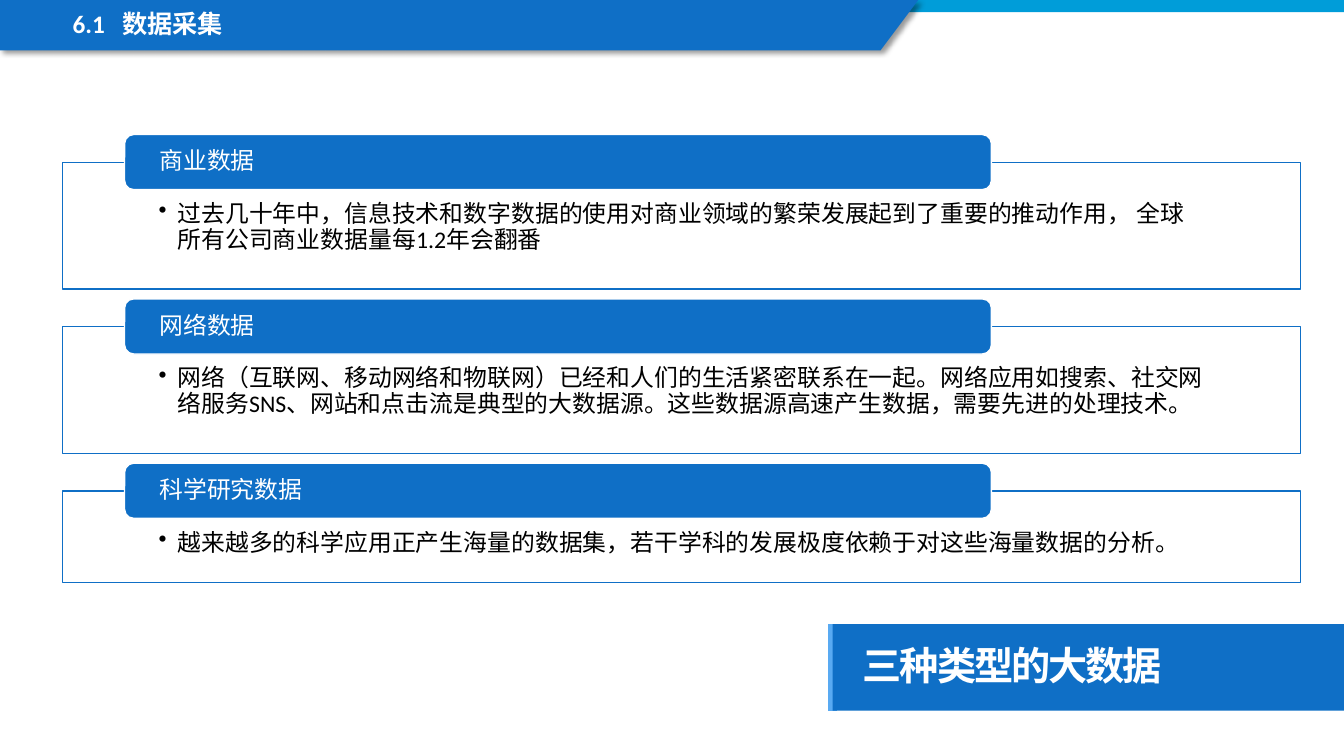
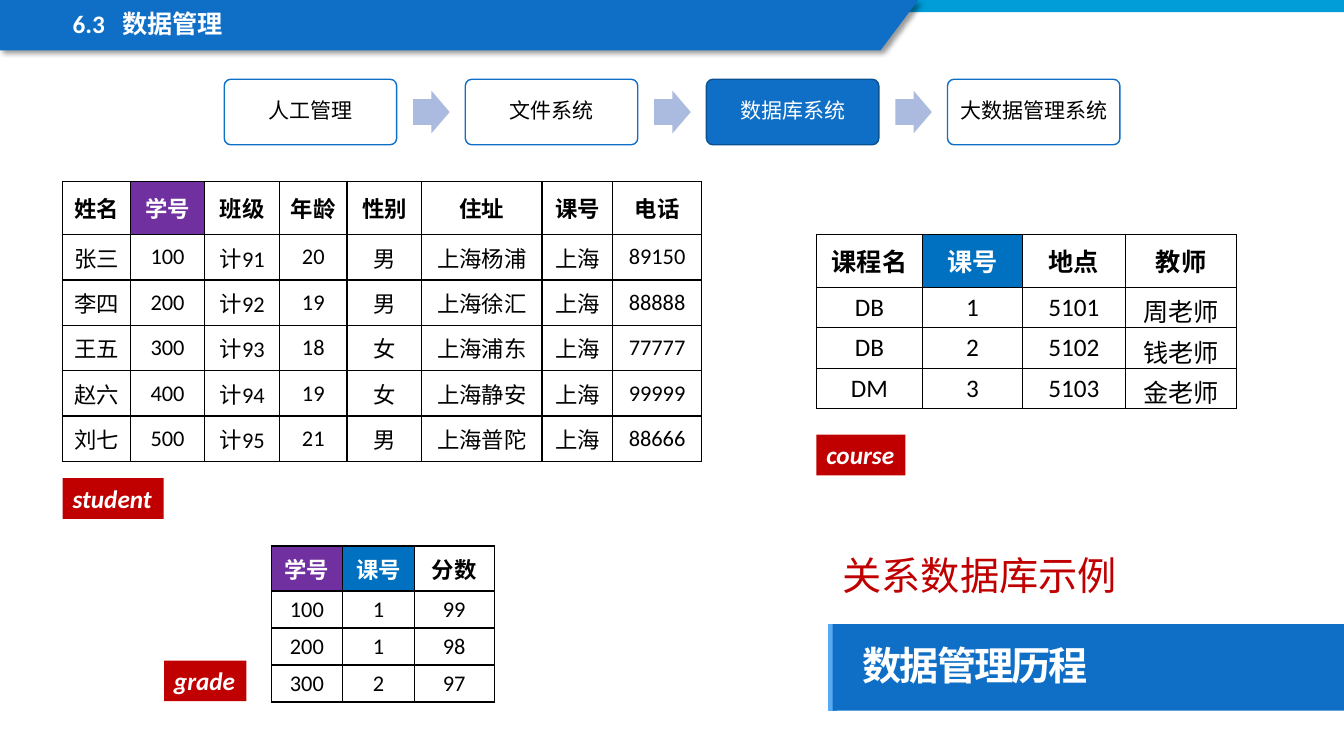
from itertools import accumulate

from lxml import etree
from pptx import Presentation
from pptx import util as u
from pptx.dml.color import RGBColor
from pptx.enum import shapes, text
from pptx.oxml import ns

Pt = u.Pt
KIND = shapes.MSO_SHAPE
ALIGN = text.PP_ALIGN
ANCHOR = text.MSO_ANCHOR

COLORS = {
    "blue": "0F6FC6", "dark_blue": "0B5292", "light_blue": "59AAF2",
    "cyan": "009DD9", "arrow": "ABBBDF", "student_key": "7030A0",
    "course_key": "0070C0", "red": "C00000", "white": "FFFFFF", "black": "000000",
}
LATIN, CHINESE = "Calibri", "Noto Sans CJK SC"
WIDTH, HEIGHT = 960, 540
LEFT = 44.8
MARGINS = (7.2, 3.6, 7.2, 3.6)

DATA_KINDS = [
    ("商业数据", 90.7,
     "过去几十年中，信息技术和数字数据的使用对商业领域的繁荣发展起到了重要的推动作用， "
     "全球所有公司商业数据量每1.2年会翻番"),
    ("网络数据", 90.7,
     "网络（互联网、移动网络和物联网）已经和人们的生活紧密联系在一起。网络应用如搜索、社交网络服务SNS、"
     "网站和点击流是典型的大数据源。这些数据源高速产生数据，需要先进的处理技术。"),
    ("科学研究数据", 65.5,
     "越来越多的科学应用正产生海量的数据集，若干学科的发展极度依赖于对这些海量数据的分析。"),
]

STAGES = ["人工管理", "文件系统", "数据库系统", "大数据管理系统"]
CURRENT_STAGE = "数据库系统"

TABLES = [
    {"name": "student", "tag": (LEFT, 341.5, 72.2), "at": (LEFT, 129.6), "size": 16,
     "columns": [48.3, 53.3, 53.3, 48.3, 53.3, 86, 50.5, 63.4],
     "header_height": 38, "row_height": 32.4, "keys": {1: "student_key"},
     "rows": [
         ("姓名", "学号", "班级", "年龄", "性别", "住址", "课号", "电话"),
         ("张三", "100", "计91", "20", "男", "上海杨浦", "上海", "89150"),
         ("李四", "200", "计92", "19", "男", "上海徐汇", "上海", "88888"),
         ("王五", "300", "计93", "18", "女", "上海浦东", "上海", "77777"),
         ("赵六", "400", "计94", "19", "女", "上海静安", "上海", "99999"),
         ("刘七", "500", "计95", "21", "男", "上海普陀", "上海", "88666")]},
    {"name": "course", "tag": (583.2, 310.5, 63.5), "at": (583.2, 167.5), "size": 18,
     "columns": [75.7, 71.4, 73.7, 79.4],
     "header_height": 37.8, "row_height": 28.8, "keys": {1: "course_key"},
     "rows": [
         ("课程名", "课号", "地点", "教师"),
         ("DB", "1", "5101", "周老师"),
         ("DB", "2", "5102", "钱老师"),
         ("DM", "3", "5103", "金老师")]},
    {"name": "grade", "tag": (117.2, 471.8, 58.8), "at": (193.7, 390), "size": 16,
     "columns": [51.1, 51.1, 57.2],
     "header_height": 32.2, "row_height": 26.3,
     "keys": {0: "student_key", 1: "course_key"},
     "rows": [
         ("学号", "课号", "分数"),
         ("100", "1", "99"),
         ("200", "1", "98"),
         ("300", "2", "97")]},
]


def rgb(name):
    return RGBColor.from_string(COLORS[name])


def add_xml(parent, tag, **attributes):
    return etree.SubElement(parent, ns.qn(tag), attributes)


def paint(shape, fill, line=None):
    shape.shadow.inherit = False
    shape.fill.solid()
    shape.fill.fore_color.rgb = rgb(fill)
    if line:
        shape.line.color.rgb = rgb(line)
        shape.line.width = Pt(1)
    else:
        shape.line.fill.background()


def add_box(slide, kind, at, fill, line=None):
    box = slide.shapes.add_shape(kind, *map(Pt, at))
    paint(box, fill, line)
    return box


def set_margins(target, margins):
    (target.margin_left, target.margin_top,
     target.margin_right, target.margin_bottom) = map(Pt, margins)


def style(para, size, color, bold=False, italic=False, font=LATIN):
    para.font.name = font
    para.font.size = Pt(size)
    para.font.bold = bold
    para.font.italic = italic
    para.font.color.rgb = rgb(color)


def write(box, words, size, color, align=ALIGN.LEFT, anchor=ANCHOR.MIDDLE,
          margins=MARGINS, wrap=True, spacing=0.9, **look):
    """Fill a shape with one styled paragraph and return the paragraph."""
    frame = box.text_frame
    frame.word_wrap = wrap
    frame.vertical_anchor = anchor
    set_margins(frame, margins)
    para = frame.paragraphs[0]
    para.add_run().text = words
    para.alignment = align
    para.line_spacing = spacing
    style(para, size, color, **look)
    return para


def use_chinese_font(para):
    props = para.runs[0]._r.get_or_add_rPr()
    add_xml(props, "a:ea", typeface=CHINESE)
    return props


def add_heading_band(slide, number, heading):
    add_box(slide, KIND.RECTANGLE, (0, 0, WIDTH, 8.8), "cyan")
    outline = slide.shapes.build_freeform(0, 0, scale=Pt(1))
    outline.add_line_segments([(656, 0), (628.6, 36), (0, 36)])
    band = outline.convert_to_shape()
    paint(band, "blue")
    effects = band._element.spPr.find(ns.qn("a:effectLst"))
    shadow = add_xml(effects, "a:outerShdw", blurRad=str(Pt(4)), dist=str(Pt(3)),
                     dir="2700000", algn="tl", rotWithShape="0")
    add_xml(add_xml(shadow, "a:srgbClr", val=COLORS["black"]), "a:alpha", val="40000")

    box = slide.shapes.add_textbox(*map(Pt, (LEFT, 5, 501, 27.4)))
    para = box.text_frame.paragraphs[0]
    tabs = add_xml(para._p.get_or_add_pPr(), "a:tabLst")
    add_xml(tabs, "a:tab", pos=str(Pt(35.4)), algn="l")
    write(box, f"{number}\t{heading}", 18, "white", anchor=ANCHOR.TOP, bold=True)


def add_title_band(slide, title):
    left, top, height = 594.8, 445.8, 61.8
    edge = slide.shapes.add_connector(
        shapes.MSO_CONNECTOR.STRAIGHT, *map(Pt, (left, top + height, left, top)))
    edge.line.color.rgb = rgb("light_blue")
    edge.line.width = Pt(6)
    add_xml(edge._element.spPr, "a:effectLst")
    band = add_box(slide, KIND.RECTANGLE, (left, top, WIDTH - left, height), "blue")
    para = write(band, title, 28, "white", margins=(21.6, 14.4, 14.4, 14.4),
                 bold=True, font=CHINESE)
    use_chinese_font(para).set("spc", "-150")


def add_slide(deck, number, heading, title):
    slide = deck.slides.add_slide(deck.slide_layouts[6])
    add_title_band(slide, title)
    add_heading_band(slide, number, heading)
    return slide


def add_data_kinds(slide):
    top, gap = 115.9, 26.7
    for name, height, description in DATA_KINDS:
        panel = add_box(slide, KIND.RECTANGLE, (LEFT, top, 884.4, height), "white", "blue")
        props = panel.text_frame.paragraphs[0]._p.get_or_add_pPr()
        props.set("marL", str(Pt(13.5)))
        props.set("indent", str(Pt(-13.5)))
        add_xml(props, "a:buChar", char="•")
        write(panel, description, 17, "black", anchor=ANCHOR.TOP,
              margins=(68.6, 28.3, 68.6, 9))
        label = add_box(slide, KIND.ROUNDED_RECTANGLE,
                        (89, top - 19.8, 619.2, 39.4), "blue", "white")
        write(label, name, 17, "white", margins=(23, 0, 23, 0))
        top += height + gap


def add_stages(slide):
    step, top = 172.2, 56.6
    for index, stage in enumerate(STAGES):
        left = 160.2 + index * step
        if index:
            arrow = add_box(slide, KIND.RIGHT_ARROW,
                            (left - 37.3, top + 8.2, 26.1, 30.5), "arrow")
            arrow.adjustments[0] = 0.6
        current = stage == CURRENT_STAGE
        fill, line, color = (("blue", "dark_blue", "white") if current
                             else ("white", "blue", "black"))
        box = add_box(slide, KIND.ROUNDED_RECTANGLE, (left, top, 123.2, 46.8), fill, line)
        box.adjustments[0] = 0.1
        write(box, stage, 15, color, align=ALIGN.CENTER, margins=(4.5,) * 4)


def draw_borders(cell):
    props = cell._tc.get_or_add_tcPr()
    for side in ("a:lnL", "a:lnR", "a:lnT", "a:lnB"):
        border = add_xml(props, side, w=str(Pt(1)))
        add_xml(add_xml(border, "a:solidFill"), "a:srgbClr", val=COLORS["black"])


def add_data_table(slide, data):
    rows, columns = data["rows"], data["columns"]
    heights = [data["header_height"]] + [data["row_height"]] * (len(rows) - 1)
    size = (sum(columns), sum(heights))
    table = slide.shapes.add_table(len(rows), len(columns),
                                   *map(Pt, data["at"] + size)).table
    table.first_row = table.horz_banding = False
    for column, width in zip(table.columns, columns):
        column.width = Pt(width)
    for row_index, (row, height, values) in enumerate(zip(table.rows, heights, rows)):
        row.height = Pt(height)
        header = row_index == 0
        for index, (cell, value) in enumerate(zip(row.cells, values)):
            key = data["keys"].get(index) if header else None
            draw_borders(cell)
            if key:
                cell.fill.solid()
                cell.fill.fore_color.rgb = rgb(key)
            else:
                cell.fill.background()
            set_margins(cell, MARGINS)
            cell.vertical_anchor = ANCHOR.MIDDLE
            para = cell.text_frame.paragraphs[0]
            para.add_run().text = value
            para.alignment = ALIGN.CENTER
            style(para, data["size"], "white" if key else "black", bold=header)

    tag = add_box(slide, KIND.RECTANGLE, data["tag"] + (29.1,), "red")
    write(tag, data["name"], 18, "white", anchor=ANCHOR.TOP, wrap=False,
          spacing=1.0, bold=True, italic=True)


def add_example_caption(slide):
    box = slide.shapes.add_textbox(*map(Pt, (594.8, 390.2, 212.4, 41.2)))
    para = write(box, "关系数据库示例", 28, "red", anchor=ANCHOR.TOP, wrap=False,
                 spacing=1.0, font=CHINESE)
    use_chinese_font(para)


def main():
    deck = Presentation()
    deck.slide_width, deck.slide_height = Pt(WIDTH), Pt(HEIGHT)

    add_data_kinds(add_slide(deck, "6.1", "数据采集", "三种类型的大数据"))

    management = add_slide(deck, "6.3", "数据管理", "数据管理历程")
    add_stages(management)
    add_example_caption(management)
    for data in TABLES:
        add_data_table(management, data)

    deck.save("out.pptx")


if __name__ == "__main__":
    main()
